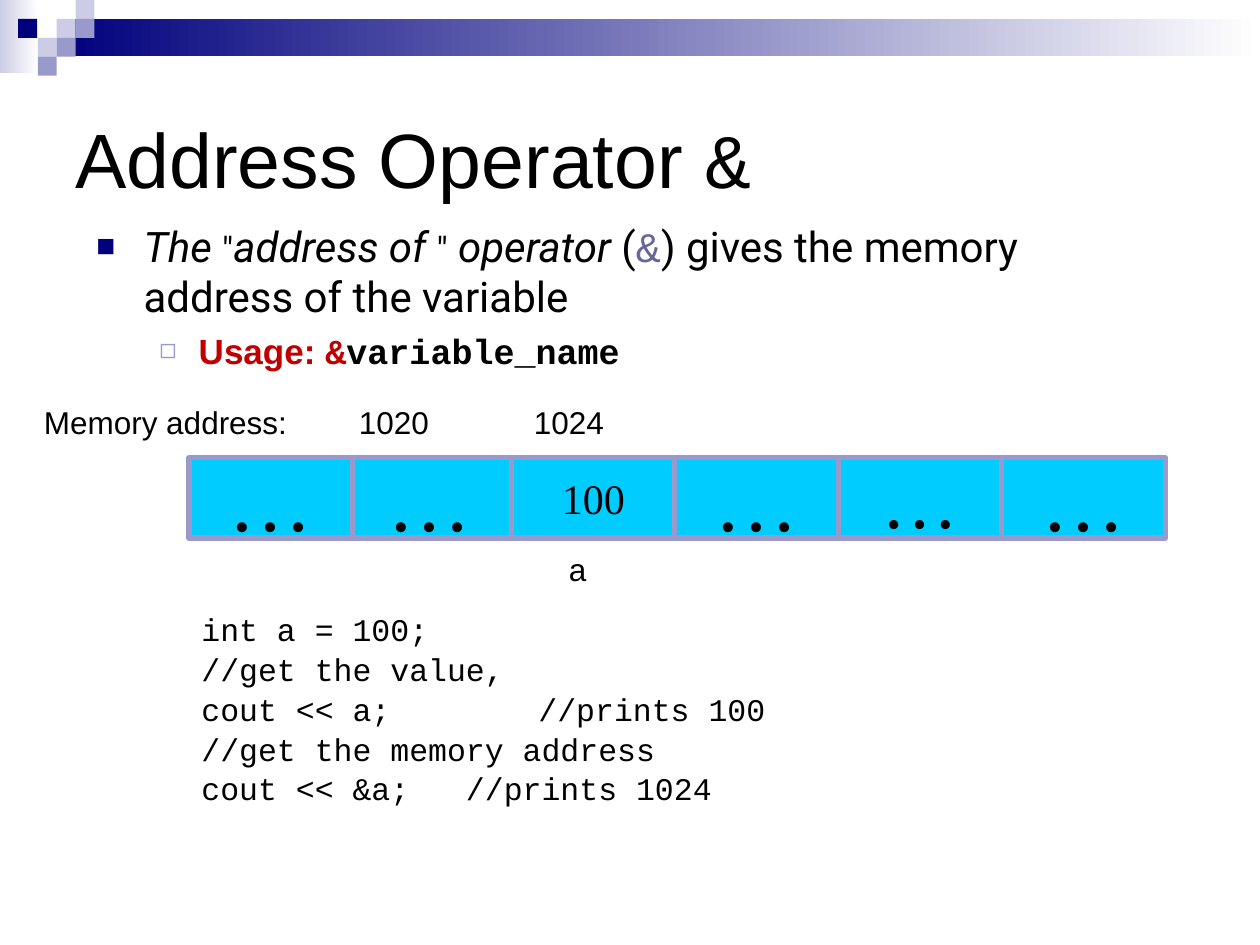
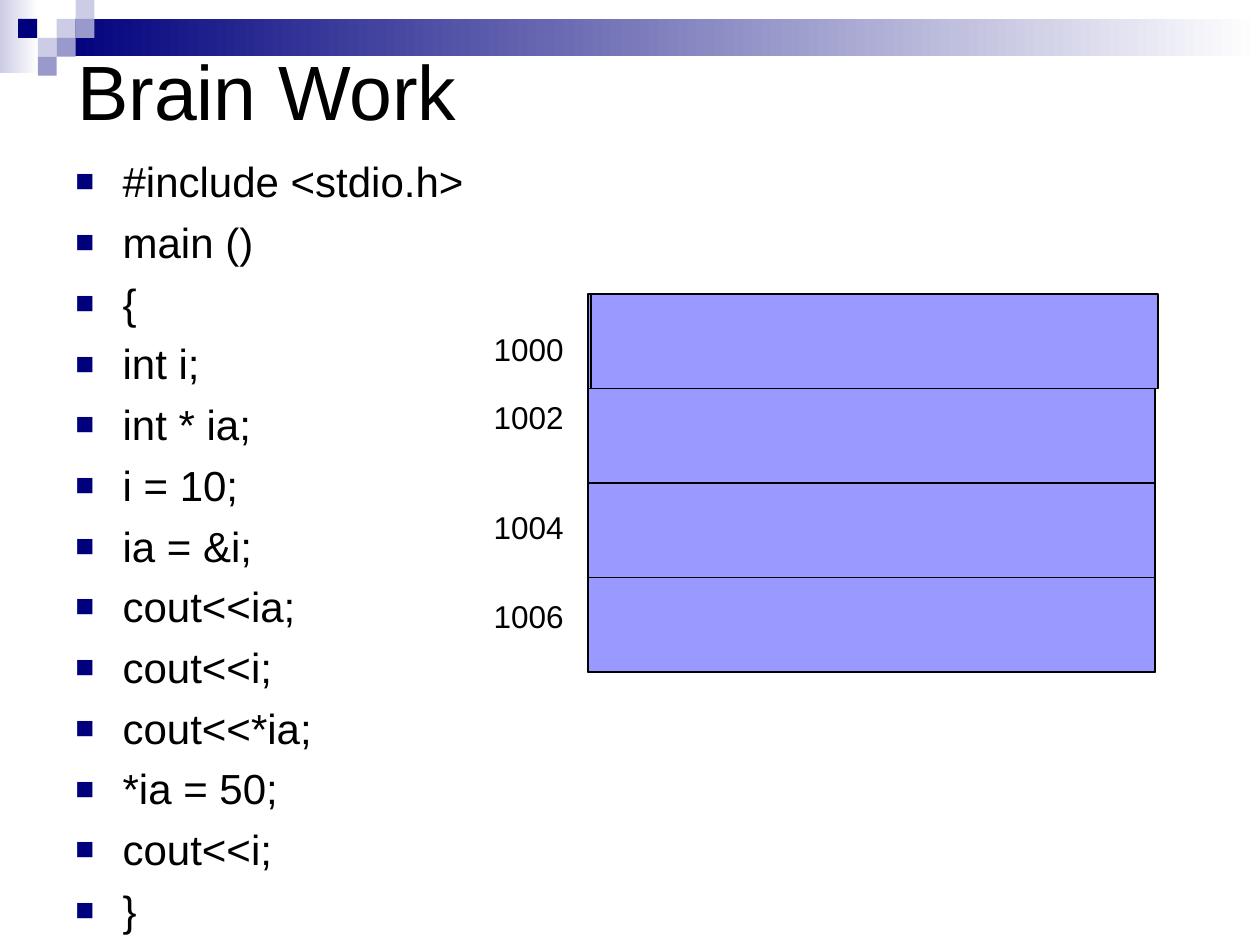
from lxml import etree
from pptx import Presentation
from pptx.dml.color import RGBColor
from pptx.enum.shapes import MSO_SHAPE
from pptx.enum.text import MSO_ANCHOR, PP_ALIGN
from pptx.oxml.ns import qn
from pptx.util import Pt

RECT = MSO_SHAPE.RECTANGLE
TOP, MIDDLE = MSO_ANCHOR.TOP, MSO_ANCHOR.MIDDLE
CENTER = PP_ALIGN.CENTER
ARIAL, COURIER, ROBOTO, TIMES = "Arial", "Courier New", "Roboto", "Times New Roman"

COLORS = {
    "navy": "00007D", "pale": "CCCCE6", "lilac": "9999CC", "white": "FFFFFF",
    "black": "000000", "slate": "666699", "red": "C00000",
    "cyan": "00CCFF", "violet": "9999FF",
}
BULLETS = [("■", "navy", 75, 27, -27), ("◻", "lilac", 80, 58.5, -22.5)]


def add_rect(s, x, y, w, h, fill, fade=False, line=None, line_width=0.75):
    sp = s.shapes.add_shape(RECT, Pt(x), Pt(y), Pt(w), Pt(h))
    sp.shadow.inherit = False
    if fade:
        sp.fill.gradient()
        sp.fill.gradient_angle = 0
        for stop, name in zip(sp.fill.gradient_stops, (fill, "white")):
            stop.color.rgb = RGBColor.from_string(COLORS[name])
    else:
        sp.fill.solid()
        sp.fill.fore_color.rgb = RGBColor.from_string(COLORS[fill])
    if line:
        sp.line.color.rgb = RGBColor.from_string(COLORS[line])
        sp.line.width = Pt(line_width)
    else:
        sp.line.fill.background()
    return sp


def add_text(s, x, y, w, h, paragraphs, levels=None, gap=0, tab=None, anchor=TOP, inset=3.6):
    tf = s.shapes.add_textbox(Pt(x), Pt(y), Pt(w), Pt(h)).text_frame
    tf.word_wrap = True
    tf.vertical_anchor = anchor
    tf.margin_top = Pt(inset)
    for i, runs in enumerate(paragraphs):
        p = tf.paragraphs[0] if i == 0 else tf.add_paragraph()
        pPr = p._p.get_or_add_pPr()
        if levels:
            char, color, percent, margin, indent = BULLETS[levels[i]]
            pPr.set("marL", str(Pt(margin)))
            pPr.set("indent", str(Pt(indent)))
            clr = etree.SubElement(pPr, qn("a:buClr"))
            etree.SubElement(clr, qn("a:srgbClr"), val=COLORS[color])
            etree.SubElement(pPr, qn("a:buSzPct"), val=str(percent * 1000))
            etree.SubElement(pPr, qn("a:buFont"), typeface=ARIAL)
            etree.SubElement(pPr, qn("a:buChar"), char=char)
        if tab:
            tabs = etree.SubElement(pPr, qn("a:tabLst"))
            etree.SubElement(tabs, qn("a:tab"), pos=str(Pt(tab)), algn="l")
        if i:
            p.space_before = Pt(gap)
        for text, size, font, color, style in runs:
            r = p.add_run()
            r.text = text
            r.font.size = Pt(size)
            r.font.name = font
            r.font.color.rgb = RGBColor.from_string(COLORS[color])
            r.font.bold = "b" in style
            r.font.italic = "i" in style


prs = Presentation()
prs.slide_width, prs.slide_height = Pt(720), Pt(540)
blank = prs.slide_layouts[6]
address_slide, brain_slide = [prs.slides.add_slide(blank) for _ in range(2)]

SQUARES = [
    (32.4, 10.8, "pale"), (43.2, 0, "pale"), (43.2, 10.8, "lilac"), (21.6, 21.6, "pale"),
    (10.4, 10.8, "navy"), (32.4, 21.6, "lilac"), (21.6, 32.4, "lilac"),
]
for s in prs.slides:
    add_rect(s, 0, 0, 22, 42, "pale", fade=True)
    add_rect(s, 32.4, 10.8, 687.6, 21.4, "navy", fade=True)
    for x, y, color in SQUARES:
        add_rect(s, x, y, 10.8, 10.8, color)

s = address_slide
add_text(s, 36, 36, 648, 108, [[
    ("Address Operator ", 44, ARIAL, "black", ""),
    ("&", 44, COURIER, "black", ""),
]], anchor=MIDDLE)
add_text(s, 48, 120, 618, 324, [
    [
        ("The ", 24, ROBOTO, "black", "i"),
        ('"', 20, ROBOTO, "black", ""),
        ("address of ", 24, ROBOTO, "black", "i"),
        ('"', 20, ROBOTO, "black", ""),
        (" operator", 24, ROBOTO, "black", "i"),
        (" (", 24, ROBOTO, "black", ""),
        ("&", 24, COURIER, "slate", ""),
        (") gives the memory address of the variable", 24, ROBOTO, "black", ""),
    ],
    [
        ("Usage: ", 20, ARIAL, "red", "b"),
        ("&", 20, COURIER, "red", "b"),
        ("variable_name", 20, COURIER, "black", "b"),
    ],
], levels=[0, 1], gap=4.6, inset=6)

MEMORY_CELLS = [
    (292.3, "100", 24), (198.7, "…", 48), (385.5, "…", 48),
    (479, "…", 44), (572.4, "…", 48), (108, "…", 48),
]
for x, value, size in MEMORY_CELLS:
    sp = add_rect(s, x, 261.4, 93.5, 46, "cyan", line="lilac", line_width=3)
    tf = sp.text_frame
    tf.text = value
    tf.word_wrap = False
    tf.vertical_anchor = MIDDLE
    p = tf.paragraphs[0]
    p.alignment = CENTER
    r = p.runs[0]
    r.font.size = Pt(size)
    r.font.name = TIMES
    r.font.color.rgb = RGBColor.from_string(COLORS["black"])

MEMORY_LABELS = [
    (18, 227, 180, "Memory address:"), (198, 227, 76, "1020"),
    (298, 227, 76, "1024"), (318, 311, 26, "a"),
]
for x, y, w, label in MEMORY_LABELS:
    add_text(s, x, y, w, 31, [[(label, 18, ARIAL, "black", "")]])

CODE = [
    "int a = 100;",
    "//get the value,",
    "cout << a;\t  //prints 100",
    "//get the memory address",
    "cout << &a;   //prints 1024",
]
add_text(s, 108, 345, 340, 146, [[(line, 18, COURIER, "black", "")] for line in CODE],
         gap=1.2, tab=171)

s = brain_slide
add_text(s, 37, 6, 648, 90, [[("Brain Work", 44, ARIAL, "black", "")]], anchor=MIDDLE)
PROGRAM = [
    "#include <stdio.h>", "main ()", "{", "int i;", "int * ia;", "i = 10;", "ia = &i;",
    "cout<<ia;", "cout<<i;", "cout<<*ia;", "*ia = 50;", "cout<<i;", "}",
]
add_text(s, 36, 83, 648, 356, [[(line, 24, ARIAL, "black", "")] for line in PROGRAM],
         levels=[0] * len(PROGRAM), gap=5.9, inset=6)

add_rect(s, 336, 168, 324, 216, "violet", line="black")
for i, x in enumerate([337.7, 336, 336, 336]):
    add_rect(s, x, 168 + 54 * i, 324, 54, "violet", line="black")
for y, label in [(185, "1000"), (224, "1002"), (286.8, "1004"), (337.7, "1006")]:
    add_text(s, 275, y, 56, 29, [[(label, 18, ARIAL, "black", "")]])

prs.save("out.pptx")
